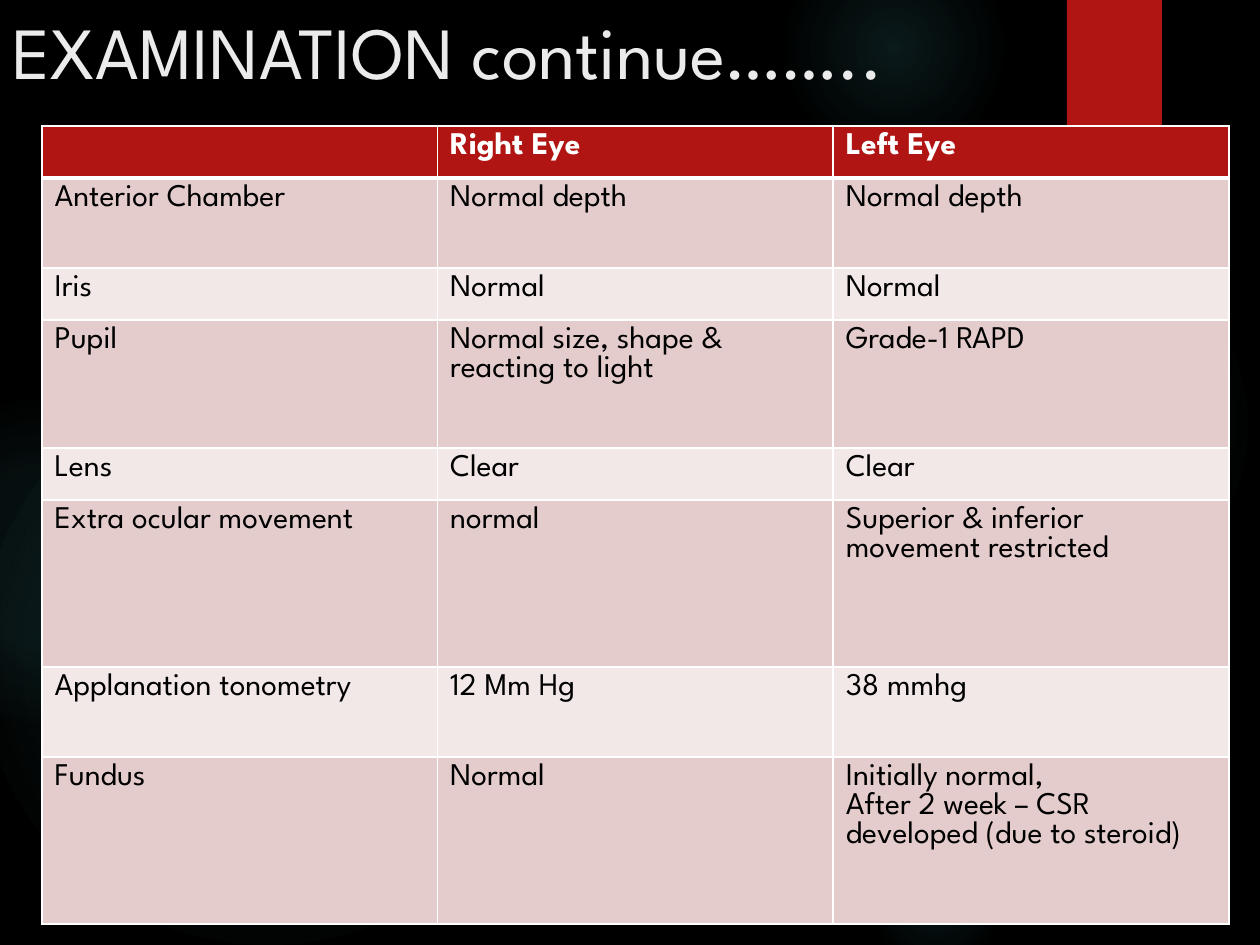
import pptx
import pptx.dml.color
import pptx.enum.shapes
import pptx.enum.text
import pptx.oxml
import pptx.oxml.ns
import pptx.util
from dataclasses import dataclass

SCALE = 914400 // 126  # EMU in one px
DRAW = pptx.oxml.ns.nsdecls("a")


@dataclass(frozen=True)
class Theme:
    font: str = "League Spartan"
    back: str = "000000"
    glow: str = "50B9C1"
    red: str = "B01513"
    title: str = "EBEBEB"
    white: str = "FFFFFF"
    ink: str = "000000"
    bands: tuple = ("F2E8E7", "E4CCCC")  # even rows, odd rows
    large: int = 42
    small: int = 18


THEME = Theme()

# left, top, size, then (position, opacity) stops in percent
GLOWS = [
    (868, 231, 388, ((0, 7), (36, 6), (69, 0))),
    (784, -63, 220, ((0, 14), (36, 7), (73, 0))),
    (868, 840, 136, ((0, 9), (36, 5), (66, 0))),
    (-21, 368, 577, ((0, 11), (36, 10), (75, 0))),
    (-116, 399, 325, ((0, 8), (36, 8), (72, 0))),
]

# row height, then the three cells
ROWS = [
    (52, "", "Right Eye", "Left Eye"),
    (90, "Anterior Chamber", "Normal depth", "Normal depth"),
    (52, "Iris", "Normal", "Normal"),
    (128, "Pupil", "Normal size, shape & reacting to light", "Grade-1 RAPD"),
    (52, "Lens", "Clear", "Clear"),
    (167, "Extra ocular movement", "normal",
     "Superior & inferior movement restricted"),
    (90, "Applanation tonometry", "12 Mm Hg", "38 mmhg"),
    (167, "Fundus", "Normal",
     "Initially normal,\nAfter 2 week – CSR developed (due to steroid)"),
]


def px(num):
    return pptx.util.Emu(num * SCALE)


def box(*nums):
    return [px(num) for num in nums]


def paint(fill, color):
    fill.solid()
    fill.fore_color.rgb = pptx.dml.color.RGBColor.from_string(color)


def write(frame, text, size, color, bold=False):
    frame.text = text
    for para in frame.paragraphs:
        para.font.name = THEME.font
        para.font.size = pptx.util.Pt(size)
        para.font.bold = bold
        para.font.color.rgb = pptx.dml.color.RGBColor.from_string(color)


def add_shape(slide, kind, place, color):
    shape = slide.shapes.add_shape(kind, *box(*place))
    shape.shadow.inherit = False
    shape.line.fill.background()
    paint(shape.fill, color)
    return shape


def add_glow(slide, left, top, size, stops):
    oval = pptx.enum.shapes.MSO_SHAPE.OVAL
    shape = add_shape(slide, oval, (left, top, size, size), THEME.glow)
    marks = "".join(
        f'<a:gs pos="{pos * 1000}"><a:srgbClr val="{THEME.glow}">'
        f'<a:alpha val="{alpha * 1000}"/></a:srgbClr></a:gs>'
        for pos, alpha in stops)
    grad = pptx.oxml.parse_xml(
        f'<a:gradFill {DRAW} rotWithShape="1"><a:gsLst>{marks}</a:gsLst>'
        '<a:path path="circle"><a:fillToRect l="50000" t="50000" '
        'r="50000" b="50000"/></a:path></a:gradFill>')
    props = shape.element.spPr
    props.replace(props.find(pptx.oxml.ns.qn("a:solidFill")), grad)


def add_title(slide, text):
    frame = slide.shapes.add_textbox(*box(0, 0, 1134, 157)).text_frame
    frame.word_wrap = True
    frame.vertical_anchor = pptx.enum.text.MSO_ANCHOR.TOP
    write(frame, text, THEME.large, THEME.title)


def edge(cell, **widths):
    props = cell._tc.get_or_add_tcPr()
    for side in "LRTB":
        width = pptx.util.Pt(widths.get(side, 1))
        props.append(pptx.oxml.parse_xml(
            f'<a:ln{side} {DRAW} w="{width}"><a:solidFill>'
            f'<a:srgbClr val="{THEME.white}"/></a:solidFill></a:ln{side}>'))


def add_table(slide, rows, left, top, width):
    height = sum(row[0] for row in rows)
    count = len(rows[0]) - 1
    place = box(left, top, width, height)
    table = slide.shapes.add_table(len(rows), count, *place).table
    for col in table.columns:
        col.width = px(width) // count
    for i, (tall, *texts) in enumerate(rows):
        table.rows[i].height = px(tall)
        head = i == 0
        for j, text in enumerate(texts):
            cell = table.cell(i, j)
            # The rule between header and body is thicker
            edge(cell, T=3 if i == 1 else 1, B=3 if head else 1)
            paint(cell.fill, THEME.red if head else THEME.bands[i % 2])
            color = THEME.white if head else THEME.ink
            write(cell.text_frame, text, THEME.small, color, head)


def main():
    deck = pptx.Presentation()
    deck.slide_width, deck.slide_height = box(1260, 945)
    slide = deck.slides.add_slide(deck.slide_layouts[6])

    # Backdrop: soft glows and the red tab
    paint(slide.background.fill, THEME.back)
    for glow in GLOWS:
        add_glow(slide, *glow)
    rect = pptx.enum.shapes.MSO_SHAPE.RECTANGLE
    add_shape(slide, rect, (1067, 0, 95, 151), THEME.red)

    # Content: title and findings
    add_title(slide, "EXAMINATION continue……..")
    add_table(slide, ROWS, 42, 126, 1187)

    deck.save("out.pptx")


if __name__ == "__main__":
    main()
